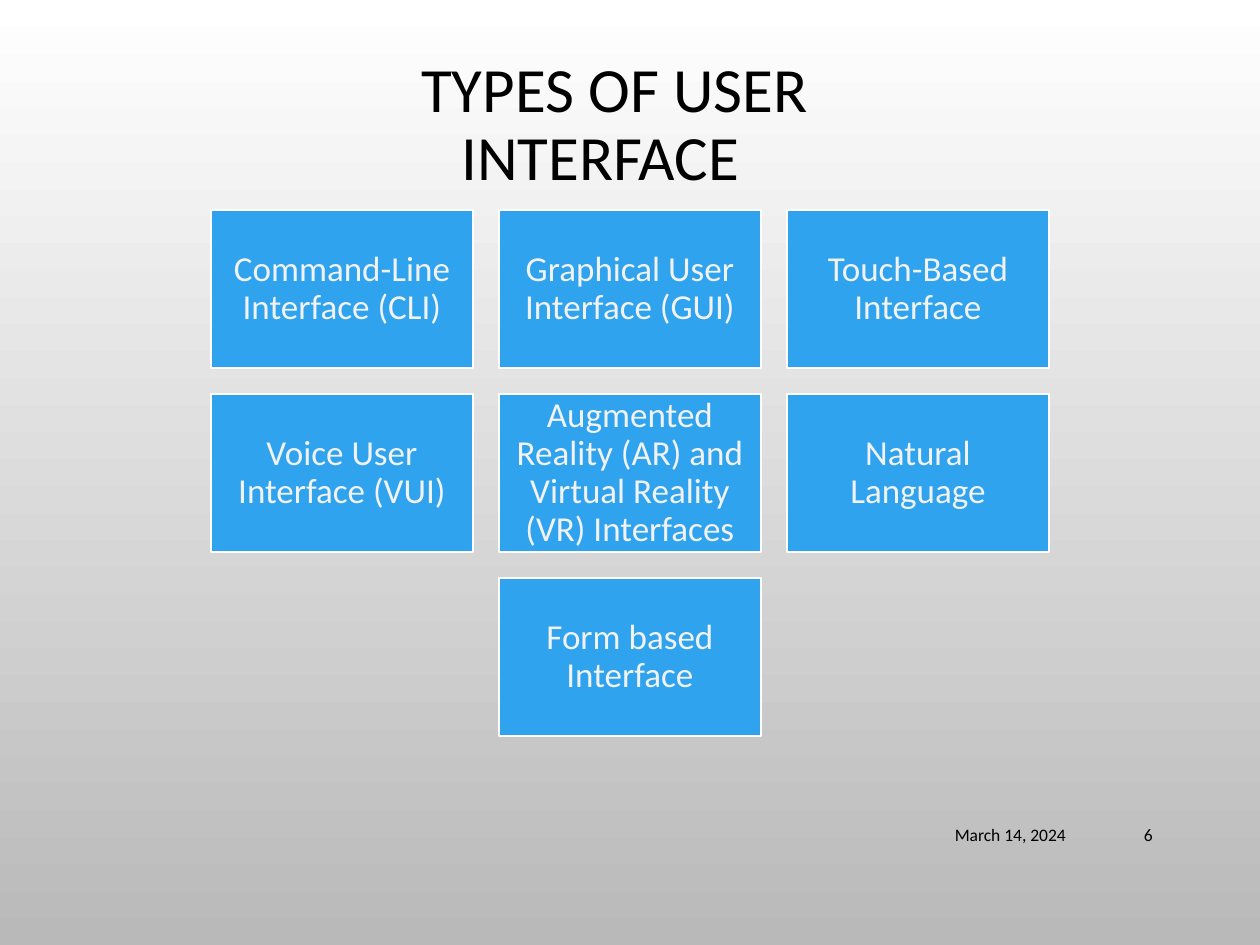
from dataclasses import dataclass

from pptx import Presentation
from pptx.dml.color import RGBColor
from pptx.enum.shapes import MSO_SHAPE
from pptx.enum.text import MSO_ANCHOR, PP_ALIGN
from pptx.shapes.base import BaseShape
from pptx.slide import Slide
from pptx.util import Emu, Pt

PIXELS_PER_INCH = 126


@dataclass(frozen=True)
class Theme:
    font: str = "Calibri"
    ink: str = "000000"
    background_top: str = "FFFFFF"
    background_bottom: str = "B9B9B9"
    tile_fill: str = "2FA3EE"
    tile_line: str = "FFFFFF"
    tile_text: str = "F2F2F2"
    title_size: int = 36
    tile_size: int = 20
    footer_size: int = 10
    tile_line_width: float = 1.25


@dataclass(frozen=True)
class Box:
    left: int
    top: int
    width: int
    height: int

    def to_emu(self) -> tuple[Emu, Emu, Emu, Emu]:
        return px(self.left), px(self.top), px(self.width), px(self.height)


@dataclass(frozen=True)
class Label:
    text: str
    box: Box
    size: int
    alignment: PP_ALIGN
    line_spacing: float = 1.0


THEME = Theme()

LABELS = [
    Label("March 14, 2024", Box(794, 810, 284, 50), THEME.footer_size, PP_ALIGN.RIGHT),
    Label("6", Box(1086, 810, 79, 50), THEME.footer_size, PP_ALIGN.RIGHT),
    Label(" TYPES OF USER INTERFACE ", Box(305, 16, 605, 221),
          THEME.title_size, PP_ALIGN.CENTER, 0.9),
]

INTERFACE_ROWS = [
    ["Command-Line Interface (CLI)", "Graphical User Interface (GUI)",
     "Touch-Based Interface"],
    ["Voice User Interface (VUI)",
     "Augmented Reality (AR) and Virtual Reality (VR) Interfaces",
     "Natural Language"],
    ["Form based Interface"],
]

SLIDE_WIDTH, SLIDE_HEIGHT = 1260, 945
TILE_WIDTH, TILE_HEIGHT = 262, 158
TILE_GAP = 26
TILES_TOP = 210
TILE_INSET = 10


def px(length: int) -> Emu:
    return Emu(round(length * 914400 / PIXELS_PER_INCH))


def color(value: str) -> RGBColor:
    return RGBColor.from_string(value)


def write_text(shape: BaseShape, text: str, size: int, text_color: str,
               alignment: PP_ALIGN, line_spacing: float) -> None:
    frame = shape.text_frame
    frame.word_wrap = True
    frame.vertical_anchor = MSO_ANCHOR.MIDDLE
    paragraph = frame.paragraphs[0]
    paragraph.text = text
    paragraph.alignment = alignment
    paragraph.line_spacing = line_spacing
    paragraph.font.name = THEME.font
    paragraph.font.size = Pt(size)
    paragraph.font.color.rgb = color(text_color)


def paint_background(slide: Slide) -> None:
    fill = slide.background.fill
    fill.gradient()
    fill.gradient_angle = 270  # counter-clockwise, so top to bottom
    stops = (THEME.background_top, THEME.background_bottom)
    for stop, value in zip(fill.gradient_stops, stops):
        stop.color.rgb = color(value)


def draw_label(slide: Slide, label: Label) -> None:
    shape = slide.shapes.add_textbox(*label.box.to_emu())
    write_text(shape, label.text, label.size, THEME.ink,
               label.alignment, label.line_spacing)


def draw_tile(slide: Slide, text: str, box: Box) -> None:
    shape = slide.shapes.add_shape(MSO_SHAPE.RECTANGLE, *box.to_emu())
    shape.shadow.inherit = False
    shape.fill.solid()
    shape.fill.fore_color.rgb = color(THEME.tile_fill)
    shape.line.color.rgb = color(THEME.tile_line)
    shape.line.width = Pt(THEME.tile_line_width)
    frame = shape.text_frame
    frame.margin_left = frame.margin_right = px(TILE_INSET)
    frame.margin_top = frame.margin_bottom = px(TILE_INSET)
    write_text(shape, text, THEME.tile_size, THEME.tile_text, PP_ALIGN.CENTER, 0.9)


def draw_tile_rows(slide: Slide, rows: list[list[str]]) -> None:
    for row_index, row in enumerate(rows):
        # Each row is centred on the slide
        row_width = len(row) * (TILE_WIDTH + TILE_GAP) - TILE_GAP
        left = (SLIDE_WIDTH - row_width) // 2
        top = TILES_TOP + row_index * (TILE_HEIGHT + TILE_GAP)
        for column, text in enumerate(row):
            tile_left = left + column * (TILE_WIDTH + TILE_GAP)
            draw_tile(slide, text, Box(tile_left, top, TILE_WIDTH, TILE_HEIGHT))


def main() -> None:
    presentation = Presentation()
    presentation.slide_width = px(SLIDE_WIDTH)
    presentation.slide_height = px(SLIDE_HEIGHT)
    slide = presentation.slides.add_slide(presentation.slide_layouts[6])

    # Background
    paint_background(slide)

    # Footer and title
    for label in LABELS:
        draw_label(slide, label)

    # Interface types
    draw_tile_rows(slide, INTERFACE_ROWS)

    presentation.save("out.pptx")


if __name__ == "__main__":
    main()
